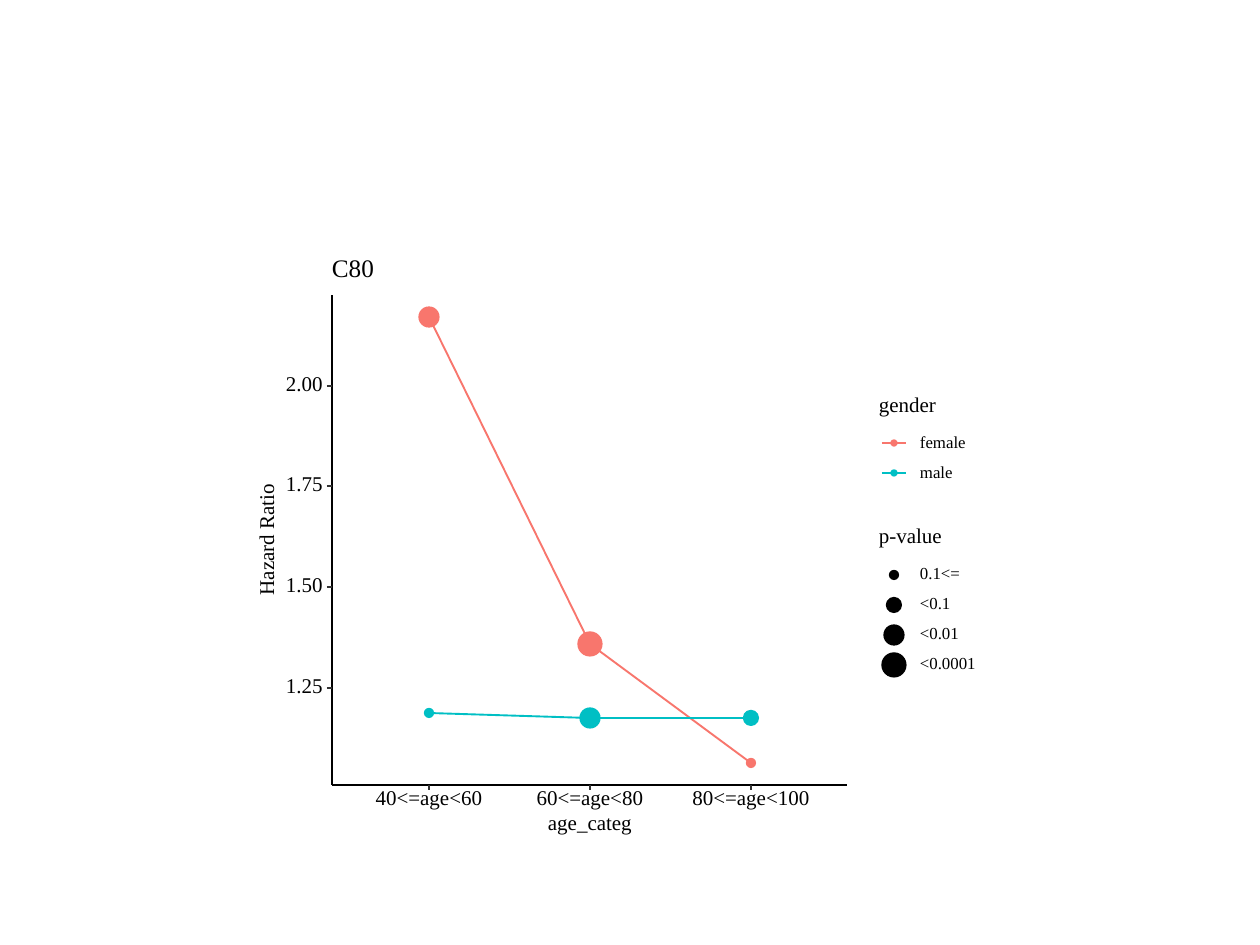
"""Build a slide with a hazard ratio plot by age category and gender."""
from lxml.etree import SubElement
from pptx import Presentation
from pptx.dml.color import RGBColor
from pptx.enum.shapes import MSO_CONNECTOR, MSO_SHAPE
from pptx.enum.text import MSO_ANCHOR, PP_ALIGN
from pptx.oxml.ns import qn
from pptx.util import Pt

SCALE = 914400 // 126
FEMALE, MALE, BLACK, TICK, WHITE = "F8766D", "00BFC4", "000000", "333333", "FFFFFF"
LEFT, RIGHT, TOP, BOTTOM = 332, 847, 295, 785

presentation = Presentation()
presentation.slide_width = 1260 * SCALE
presentation.slide_height = 945 * SCALE
slide = presentation.slides.add_slide(presentation.slide_layouts[6])


def paint(shape, fill=None, line=None, width=1.07):
    shape.shadow.inherit = False
    if fill:
        shape.fill.solid()
        shape.fill.fore_color.rgb = RGBColor.from_string(fill)
    else:
        shape.fill.background()
    if line:
        shape.line.color.rgb = RGBColor.from_string(line)
        shape.line.width = Pt(width)
    else:
        shape.line.fill.background()


def add_text(text, left, top, width, height, size=12, align=PP_ALIGN.LEFT, rotation=0):
    box = slide.shapes.add_textbox(left * SCALE, top * SCALE, width * SCALE, height * SCALE)
    box.rotation = rotation
    frame = box.text_frame
    frame.word_wrap = False
    frame.vertical_anchor = MSO_ANCHOR.MIDDLE
    frame.margin_left = frame.margin_right = frame.margin_top = frame.margin_bottom = 0
    paragraph = frame.paragraphs[0]
    paragraph.alignment = align
    paragraph.line_spacing = Pt(size)
    run = paragraph.add_run()
    run.text = text
    run.font.name = "Times New Roman"
    run.font.size = Pt(size)
    run.font.color.rgb = RGBColor.from_string(BLACK)


panels = [
    (252, 252, 745, 595, WHITE),
    (LEFT, TOP, RIGHT - LEFT, BOTTOM - TOP, None),
    (868, 389, 107, 111, None),
    (868, 520, 117, 171, None),
]
for left, top, width, height, outline in panels:
    panel = slide.shapes.add_shape(
        MSO_SHAPE.RECTANGLE, left * SCALE, top * SCALE, width * SCALE, height * SCALE)
    paint(panel, WHITE, outline, 1.16)

categories = [("40<=age<60", 429, 114), ("60<=age<80", 590, 114), ("80<=age<100", 751, 124)]
y_ticks = [("1.25", 688), ("1.50", 587), ("1.75", 486), ("2.00", 386)]
series = [
    ("female", FEMALE, 443, [(317, 20), (644, 24), (763, 9)]),
    ("male", MALE, 473, [(713, 9), (718, 20), (718, 15)]),
]
p_values = [("0.1<=", 9), ("<0.1", 15), ("<0.01", 20), ("<0.0001", 24)]

lines = [(LEFT, BOTTOM, LEFT, TOP, BLACK, 1.07), (LEFT, BOTTOM, RIGHT, BOTTOM, BLACK, 1.07)]
dots = []

for label, y in y_ticks:
    lines.append((LEFT - 5, y, LEFT, y, TICK, 1.16))
    add_text(label, 286, y - 8, 40, 14)

for label, x, width in categories:
    lines.append((x, BOTTOM + 5, x, BOTTOM, TICK, 1.16))
    add_text(label, x - width // 2, 790, width, 19, align=PP_ALIGN.CENTER)

for name, color, legend_y, values in series:
    points = [(x * SCALE, y * SCALE) for (_, x, _), (y, _) in zip(categories, values)]
    builder = slide.shapes.build_freeform(*points[0], scale=1)
    builder.add_line_segments(points[1:], close=False)
    paint(builder.convert_to_shape(), line=color)
    dots += [(x, y, size, color) for (_, x, _), (y, size) in zip(categories, values)]
    lines.append((882, legend_y, 906, legend_y, color, 1.07))
    dots.append((894, legend_y, 6, color))
    add_text(name, 920, legend_y - 5, 52, 11, size=9.6)

for row, (label, size) in enumerate(p_values):
    y = 575 + 30 * row
    dots.append((894, y, size, BLACK))
    add_text(label, 920, y - 6, 62, 11, size=9.6)

for x1, y1, x2, y2, color, width in lines:
    connector = slide.shapes.add_connector(
        MSO_CONNECTOR.STRAIGHT, x1 * SCALE, y1 * SCALE, x2 * SCALE, y2 * SCALE)
    connector.line.color.rgb = RGBColor.from_string(color)
    connector.line.width = Pt(width)
    SubElement(connector._element.spPr, qn("a:effectLst"))

for x, y, size, color in dots:
    diameter = size * SCALE
    dot = slide.shapes.add_shape(
        MSO_SHAPE.OVAL, x * SCALE - diameter // 2, y * SCALE - diameter // 2, diameter, diameter)
    paint(dot, color, color, 0.71)

add_text("C80", LEFT, 261, 48, 18, size=14.4)
add_text("age_categ", 545, 815, 90, 18, align=PP_ALIGN.CENTER)
add_text("Hazard Ratio", 208, 532, 120, 15, align=PP_ALIGN.CENTER, rotation=270)
add_text("gender", 879, 397, 64, 19)
add_text("p-value", 879, 528, 70, 19)

presentation.save("out.pptx")
